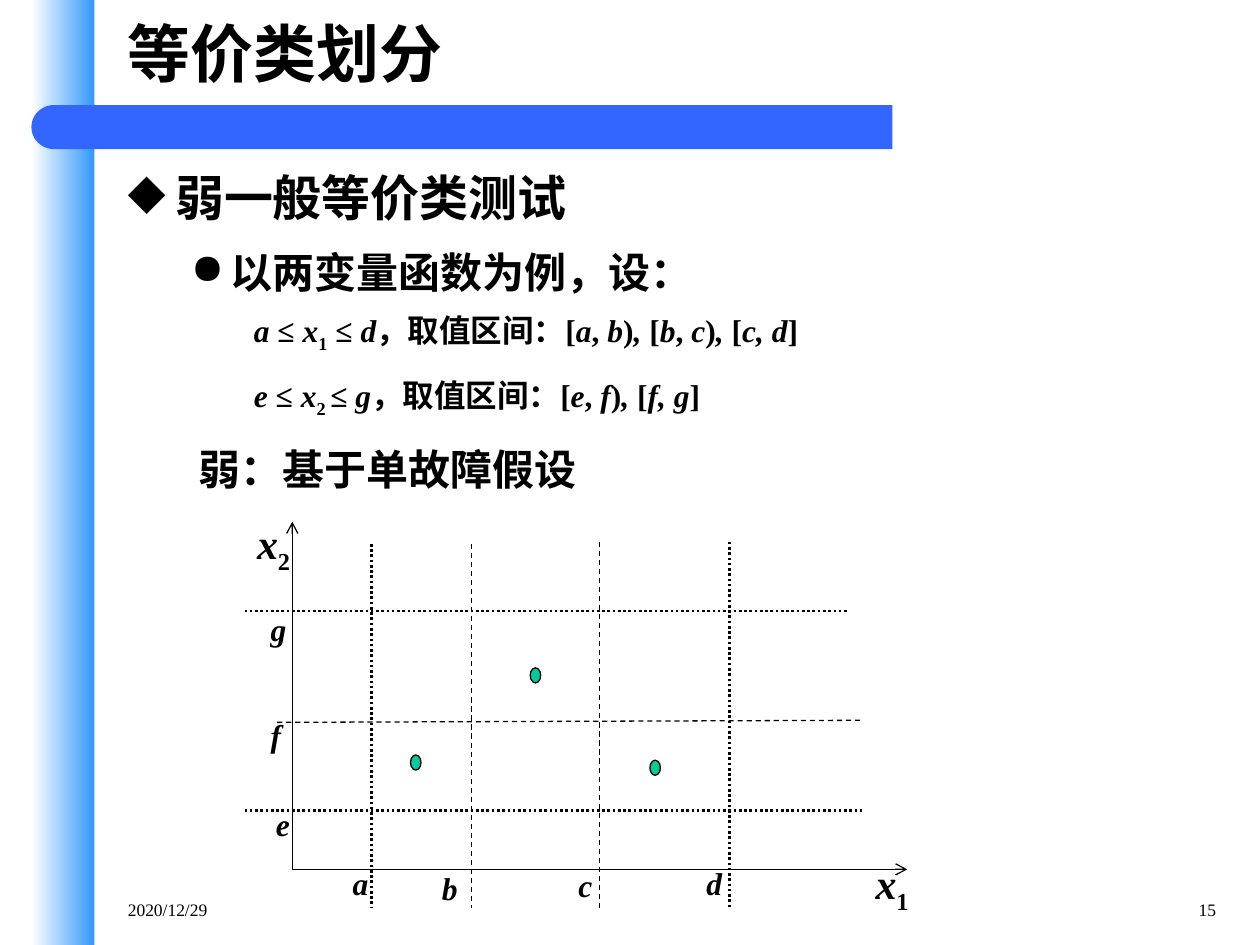
import pptx
import pptx.util
import pptx.dml.color
import pptx.enum.dml
import pptx.enum.shapes
import pptx.enum.text
import pptx.oxml
import pptx.oxml.ns
from dataclasses import dataclass
from lxml import etree

Pt = pptx.util.Pt
Kind = pptx.enum.shapes.MSO_SHAPE
Dash = pptx.enum.dml.MSO_LINE
Anchor = pptx.enum.text.MSO_ANCHOR
Align = pptx.enum.text.PP_ALIGN


@dataclass
class Theme:
    latin: str = "Times New Roman"
    asian: str = "Noto Sans CJK SC"
    ink: str = "000000"
    paper: str = "FFFFFF"
    sky: str = "3399FF"
    bar: str = "3366FF"
    dot: str = "00CC99"
    title: int = 36
    head: int = 28
    sub: int = 24
    item: int = 18
    note: int = 10
    thin: float = 0.75
    bold: float = 1.5


def rgb(code):
    return pptx.dml.color.RGBColor.from_string(code)


def cell(num):
    """Grid of 120 columns by 90 rows, each 1/12 inch."""
    return pptx.util.Inches(num / 12)


def add(node, tag, **attrs):
    return etree.SubElement(node, pptx.oxml.ns.qn(tag), attrs)


class Board:
    def __init__(self, deck, theme):
        self.theme = theme
        self.slide = deck.slides.add_slide(deck.slide_layouts[6])
        self.shapes = self.slide.shapes

    def shape(self, kind, box, fill, line=None):
        form = self.shapes.add_shape(kind, *map(cell, box))
        form.shadow.inherit = False
        form.fill.solid()
        form.fill.fore_color.rgb = rgb(fill)
        if line:
            form.line.color.rgb = rgb(line)
            form.line.width = Pt(self.theme.thin)
        else:
            form.line.fill.background()
        return form

    def band(self, box):
        fill = self.shape(Kind.RECTANGLE, box, self.theme.sky).fill
        fill.gradient()
        fill.gradient_angle = 0
        for stop, tone in zip(fill.gradient_stops, (self.theme.paper, self.theme.sky)):
            stop.color.rgb = rgb(tone)

    def line(self, start, end, dash=None, width=None, arrow=False):
        rule = self.shapes.add_connector(
            pptx.enum.shapes.MSO_CONNECTOR.STRAIGHT, *map(cell, start + end))
        rule.line.color.rgb = rgb(self.theme.ink)
        rule.line.width = Pt(width or self.theme.thin)
        if dash:
            rule.line.dash_style = dash
        if arrow:
            add(rule.line._get_or_add_ln(), "a:tailEnd", type="arrow")
        add(rule._element.spPr, "a:effectLst")

    def frame(self, box, anchor=Anchor.TOP, wrap=True):
        frame = self.shapes.add_textbox(*map(cell, box)).text_frame
        frame.word_wrap = wrap
        frame.vertical_anchor = anchor
        return frame

    def fill(self, para, text, size, bold=True):
        """In text, * switches italic and _ switches subscript."""
        font = para.font
        font.size, font.bold = Pt(size), bold
        font.color.rgb = rgb(self.theme.ink)
        font.name = self.theme.latin
        add(font._element, "a:ea", typeface=self.theme.asian)
        for i, part in enumerate(text.split("*")):
            for j, bit in enumerate(part.split("_")):
                if bit:
                    run = para.add_run()
                    run.text = bit
                    if i % 2:
                        run.font.italic = True
                    if j % 2:
                        run._r.get_or_add_rPr().set("baseline", "-25000")

    def text(self, box, text, size, bold=True, align=Align.LEFT,
             anchor=Anchor.TOP, wrap=True):
        para = self.frame(box, anchor, wrap).paragraphs[0]
        para.alignment = align
        self.fill(para, text, size, bold)

    def outline(self, box, rows):
        frame = self.frame(box)
        for num, (text, size, high, left, hang, mark) in enumerate(rows):
            para = frame.add_paragraph() if num else frame.paragraphs[0]
            para.line_spacing = Pt(high)
            if num:
                para.space_before = Pt(12)
            props = para._p.get_or_add_pPr()
            props.set("marL", str(cell(left)))
            props.set("indent", str(cell(-hang)))
            if mark:
                add(props, "a:buChar", char=mark)
            else:
                add(props, "a:buNone")
            self.fill(para, text, size)


def main():
    deck = pptx.Presentation()
    deck.slide_width, deck.slide_height = cell(120), cell(90)
    theme = Theme()
    board = Board(deck, theme)

    # Side band and title bar
    board.band((3, 0, 6, 90))
    board.shape(Kind.RECTANGLE, (7.2, 10, 77.8, 4.2), theme.bar)
    cap = board.shape(Kind.FLOWCHART_DELAY, (3, 10, 4.3, 4.2), theme.bar)
    cap._element.spPr.get_or_add_xfrm().set("flipH", "1")

    # Footer and title
    board.text((11, 85, 25, 3), "2020/12/29", theme.note, bold=False)
    board.text((108, 85, 9, 3), "15", theme.note, bold=False, align=Align.RIGHT)
    board.text((11, 0, 104, 10), "等价类划分", theme.title, anchor=Anchor.MIDDLE)

    # Body: text, size, line height, left, hang, bullet
    board.outline((11, 15, 107, 30.5), [
        ("弱一般等价类测试", theme.head, 36, 4.5, 4.5, "◆"),
        ("以两变量函数为例，设：", theme.sub, 28, 9.75, 3.75, "●"),
        ("*a *≤ *x*_1_ ≤ *d*，取值区间：[*a*, *b*)*,* [*b*, *c*)*, *[*c, d*]",
         theme.item, 21, 12, 0, None),
        ("*e *≤ *x*_2 _≤ *g*，取值区间：[*e*, *f*)*,* [*f, g*]",
         theme.item, 25, 12, 0, None),
        ("弱：基于单故障假设", theme.sub, 31, 6.75, 0, None),
    ])

    # Axes
    zero = (27.84, 82.8)
    board.line(zero, (86.4, 82.8), arrow=True)
    board.line(zero, (27.84, 49.7), arrow=True)
    board.text((82.2, 81.1, 8.5, 6), "*x*_1_", theme.sub, wrap=False)
    board.text((23.3, 48.7, 6.5, 6), "*x*_2_", theme.sub, wrap=False)

    # Bounds: outer ones dotted, inner ones dashed
    outer, inner = (Dash.ROUND_DOT, theme.bold), (Dash.DASH, theme.thin)
    for x, top, style in ((35.4, 51.8, outer), (44.9, 51.8, inner),
                          (57.1, 51.6, inner), (69.5, 51.6, outer)):
        board.line((x, top), (x, 86.5), *style)
    for start, end, style in (((23.3, 58.2), (80.8, 58.2), outer),
                              ((26.4, 68.8), (82.2, 68.6), inner),
                              ((23.3, 77.2), (82.2, 77.2), outer)):
        board.line(start, end, *style)

    # Bound names
    for name, x, y in (("a", 32.4, 81.7), ("b", 40.9, 82.2), ("c", 53.9, 81.9),
                       ("d", 66.1, 81.7), ("e", 25.1, 76.1), ("f", 24.6, 67.6),
                       ("g", 24.6, 57.5)):
        board.text((x, y, 6.1, 4.8), f"*{name}*", theme.item)

    # Test points
    for x, y in ((39.1, 71.9), (50.5, 63.6), (61.9, 72.4)):
        board.shape(Kind.OVAL, (x, y, 1, 1.44), theme.dot, theme.ink)

    deck.save("out.pptx")


if __name__ == "__main__":
    main()
